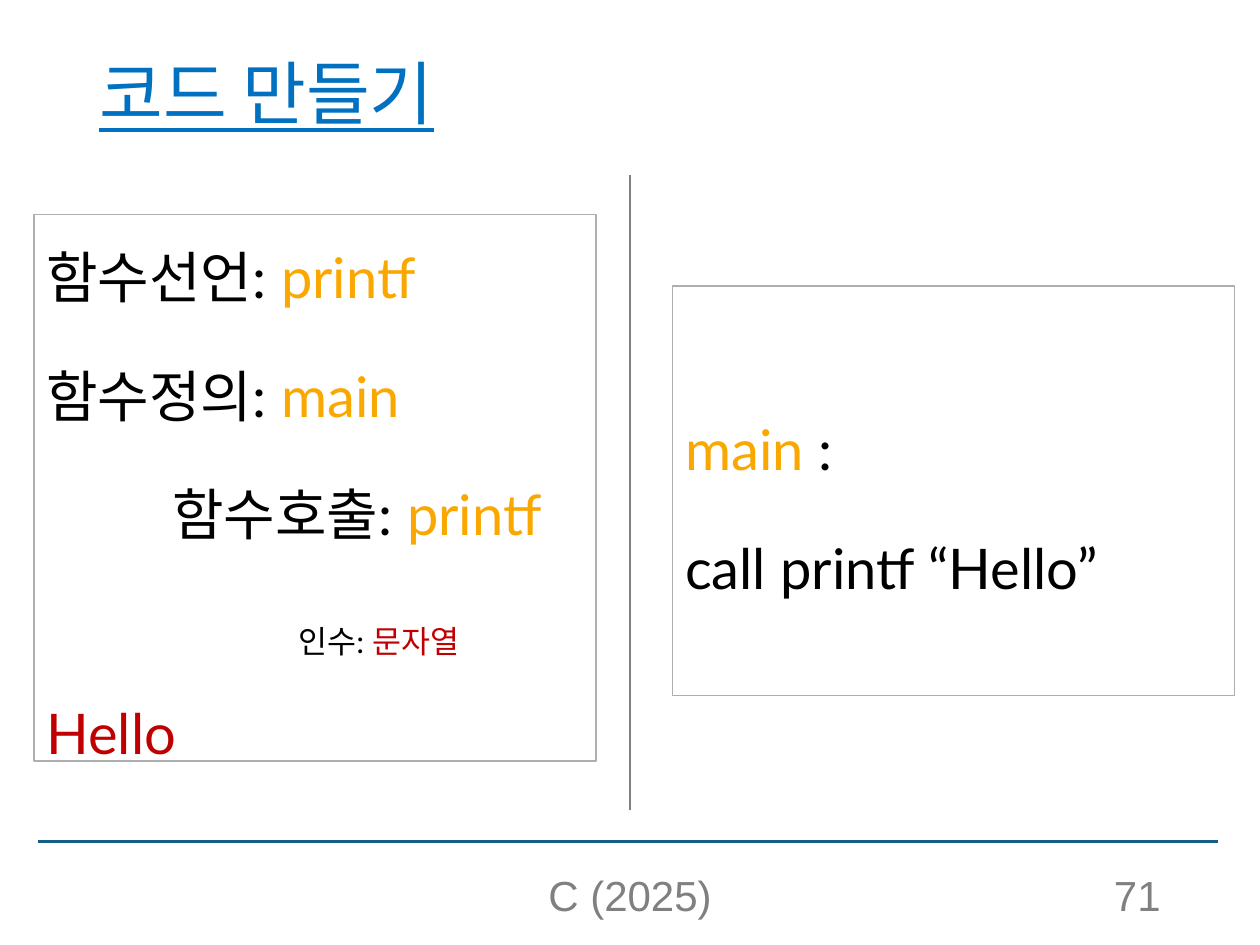
"""Builds the slide on turning C source into code."""
from lxml import etree
from pptx import Presentation
from pptx.dml.color import RGBColor
from pptx.enum.shapes import MSO_CONNECTOR, MSO_SHAPE
from pptx.enum.text import MSO_ANCHOR, PP_ALIGN
from pptx.oxml.ns import qn
from pptx.util import Inches, Pt

STRAIGHT = MSO_CONNECTOR.STRAIGHT
RECTANGLE = MSO_SHAPE.RECTANGLE
MIDDLE, BOTTOM = MSO_ANCHOR.MIDDLE, MSO_ANCHOR.BOTTOM
LEFT, CENTER, RIGHT = PP_ALIGN.LEFT, PP_ALIGN.CENTER, PP_ALIGN.RIGHT

BLACK, ORANGE, RED = "000000", "FAA700", "C00000"
BLUE, TEAL, GRAY, SILVER = "0070C0", "156082", "808080", "AEAEAE"


def color(value):
    return RGBColor.from_string(value)


class SlideBuilder:
    body_font = "Lato"
    footer_font = "Arial"
    body_size = 32
    tab_stops = (1, 2)

    def __init__(self, slide):
        self.slide = slide

    def line(self, start, end, stroke):
        connector = self.slide.shapes.add_connector(
            STRAIGHT, *(Inches(value) for value in start + end))
        connector.line.color.rgb = color(stroke)
        connector.line.width = Pt(1.5)
        properties = connector._element.spPr
        etree.SubElement(properties, qn("a:effectLst"))

    def span(self, para, text, fill, size, font):
        span = para.add_run()
        span.text = text
        span.font.name = font
        span.font.size = Pt(size)
        span.font.color.rgb = color(fill)
        return span

    def tabs(self, para):
        stops = etree.SubElement(para._p.get_or_add_pPr(), qn("a:tabLst"))
        for stop in self.tab_stops:
            etree.SubElement(stops, qn("a:tab"), pos=str(Inches(stop)), algn="l")

    def label(self, position, text, fill, size, font, align=LEFT, anchor=BOTTOM):
        box = self.slide.shapes.add_textbox(*(Inches(value) for value in position))
        frame = box.text_frame
        frame.word_wrap = True
        frame.vertical_anchor = anchor
        para = frame.paragraphs[0]
        para.alignment = align
        return para, self.span(para, text, fill, size, font)

    def title(self, position, text):
        para, span = self.label(position, text, BLUE, 39.6, self.body_font,
                                anchor=MIDDLE)
        para.line_spacing = 0.9
        span.font.underline = True

    def footer(self, position, text, align):
        self.label(position, text, GRAY, 24, self.footer_font, align)

    def panel(self, position, lines):
        panel = self.slide.shapes.add_shape(
            RECTANGLE, *(Inches(value) for value in position))
        panel.shadow.inherit = False
        panel.fill.background()
        panel.line.color.rgb = color(SILVER)
        panel.line.width = Pt(0.75)
        frame = panel.text_frame
        frame.word_wrap = True
        frame.vertical_anchor = MIDDLE
        for index, spans in enumerate(lines):
            para = frame.add_paragraph() if index else frame.paragraphs[0]
            para.alignment = LEFT
            para.line_spacing = 1.5
            para.space_before = Pt(10 if index else 0)
            if spans[0][0].startswith("\t"):
                self.tabs(para)
            for text, fill, *size in spans:
                self.span(para, text, fill, *(size or [self.body_size]),
                          self.body_font)


def main():
    deck = Presentation()
    deck.slide_width, deck.slide_height = Inches(10), Inches(7.5)
    page = SlideBuilder(deck.slides.add_slide(deck.slide_layouts[6]))

    page.line((0.3, 6.68), (9.67, 6.68), TEAL)
    page.title((0.69, 0.4, 9.31, 0.74), "코드 만들기")
    page.footer((3.31, 6.95, 3.38, 0.4), "C (2025)", CENTER)
    page.footer((7.06, 6.95, 2.25, 0.4), "71", RIGHT)
    page.line((5, 1.39), (5, 6.43), GRAY)
    page.panel((0.27, 1.7, 4.46, 4.34), [
        [("함수선언: ", BLACK), ("printf", ORANGE)],
        [("함수정의:", BLACK), (" main", ORANGE)],
        [("\t함수호출: ", BLACK), ("printf", ORANGE)],
        [("\t\t", BLACK), ("인수:", BLACK, 18), (" 문자열", RED, 18),
         ("Hello", RED)],
    ])
    page.panel((5.34, 2.27, 4.46, 3.25), [
        [("main ", ORANGE), (":", BLACK)],
        [("call printf “Hello”", BLACK)],
    ])
    deck.save("out.pptx")


if __name__ == "__main__":
    main()
